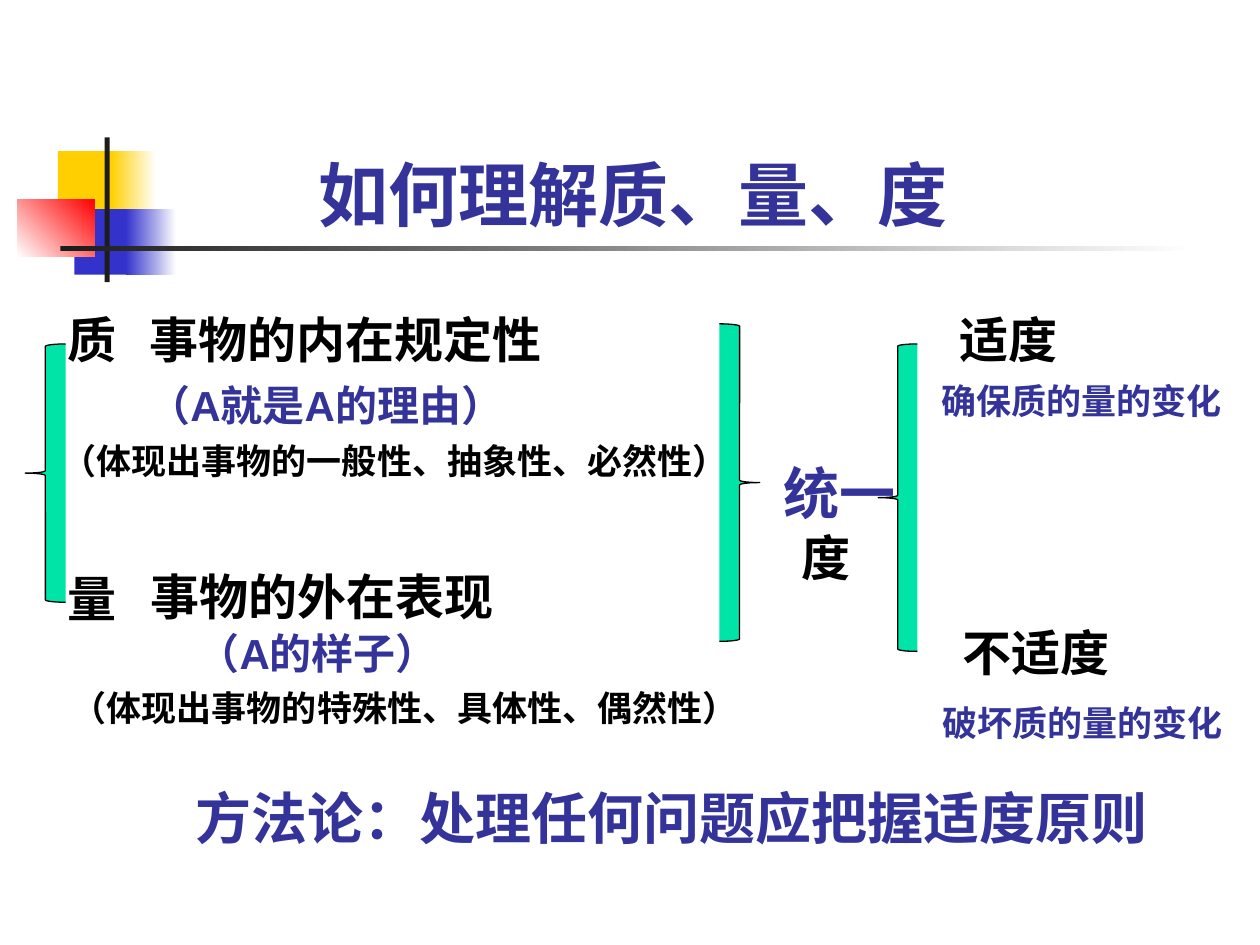
from pptx import Presentation
from pptx.dml.color import RGBColor
from pptx.enum.shapes import MSO_SHAPE
from pptx.enum.text import MSO_AUTO_SIZE
from pptx.oxml.ns import qn
from pptx.util import Inches, Pt
from lxml import etree

RECTANGLE = MSO_SHAPE.RECTANGLE
LEFT_BRACE = MSO_SHAPE.LEFT_BRACE
RIGHT_BRACE = MSO_SHAPE.RIGHT_BRACE
FIT_SHAPE = MSO_AUTO_SIZE.SHAPE_TO_FIT_TEXT

COLORS = {
    "yellow": "FFCF01",
    "blue": "3333CC",
    "red": "FF0000",
    "white": "FFFFFF",
    "charcoal": "1C1C1C",
    "indigo": "333399",
    "black": "000000",
    "green": "00E4A8",
}
LATIN_FONT = "Arial"
CHINESE_FONT = "Noto Sans CJK SC"


def rgb(color):
    return RGBColor.from_string(COLORS[color])


class SlideBuilder:
    """Holds the style and the slide being filled."""

    def __init__(self, slide):
        self.slide = slide
        self.brace_bend = 0.06

    def add_preset(self, preset, box):
        shape = self.slide.shapes.add_shape(preset, *map(Inches, box))
        shape.shadow.inherit = False
        return shape

    def block(self, box, color):
        shape = self.add_preset(RECTANGLE, box)
        shape.fill.solid()
        shape.fill.fore_color.rgb = rgb(color)
        shape.line.fill.background()

    def faded_block(self, box, start, end, angle=0):
        """Blend two colours; the angle runs counter-clockwise from the right."""
        shape = self.add_preset(RECTANGLE, box)
        shape.fill.gradient()
        shape.fill.gradient_angle = angle
        for stop, color, position in zip(shape.fill.gradient_stops, (start, end), (0, 1)):
            stop.color.rgb = rgb(color)
            stop.position = position
        shape.line.fill.background()

    def brace(self, preset, box):
        shape = self.add_preset(preset, box)
        shape.adjustments[0] = self.brace_bend
        shape.fill.solid()
        shape.fill.fore_color.rgb = rgb("green")
        shape.line.color.rgb = rgb("black")
        shape.line.width = Pt(0.75)

    def text(self, box, words, size, color="black", font_name=LATIN_FONT):
        frame = self.slide.shapes.add_textbox(*map(Inches, box)).text_frame
        frame.word_wrap = False
        frame.auto_size = FIT_SHAPE
        run = frame.paragraphs[0].add_run()
        run.text = words
        for attribute, value in {"name": font_name, "size": Pt(size), "bold": True}.items():
            setattr(run.font, attribute, value)
        run.font.color.rgb = rgb(color)
        east_asian = etree.SubElement(run.font._element, qn("a:ea"))
        east_asian.set("typeface", CHINESE_FONT)


def main():
    deck = Presentation()
    deck.slide_width, deck.slide_height = Inches(10), Inches(7.5)
    builder = SlideBuilder(deck.slides.add_slide(deck.slide_layouts[6]))

    # Corner ornament and title rule
    builder.block((0.46, 1.2, 0.48, 0.52), "yellow")
    builder.faded_block((0.88, 1.2, 0.36, 0.52), "yellow", "white")
    builder.block((0.59, 1.66, 0.46, 0.52), "blue")
    builder.faded_block((1, 1.66, 0.4, 0.52), "blue", "white")
    builder.faded_block((0.14, 1.58, 0.61, 0.46), "white", "red", 45)
    builder.block((0.83, 1.09, 0.04, 1.15), "charcoal")
    builder.faded_block((0.48, 1.95, 9, 0.04), "charcoal", "white")

    builder.text((2.43, 1.15, 5.32, 0.77), "如何理解质、量、度", 40, "indigo")

    # Quality
    builder.text((0.44, 2.41, 0.6, 0.57), "质", 28)
    builder.text((1.09, 2.41, 3.36, 0.57), "事物的内在规定性", 28)
    builder.text((1.08, 2.96, 3.4, 0.5), "（A就是A的理由）", 24, "indigo")
    builder.text((0.39, 3.44, 5.49, 0.44), "（体现出事物的一般性、抽象性、必然性）", 20)

    # Quantity
    builder.text((0.44, 4.46, 0.6, 0.57), "量", 28)
    builder.text((1.1, 4.45, 3, 0.57), "事物的外在表现", 28)
    builder.text((1.47, 4.93, 2.35, 0.5), "（A的样子）", 24, "indigo")
    builder.text((0.47, 5.4, 5.49, 0.44), "（体现出事物的特殊性、具体性、偶然性）", 20)

    # Measure, which unites both
    builder.text((6.12, 3.59, 1.19, 0.64), "统一", 32, "indigo")
    builder.text((6.26, 4.14, 0.6, 0.57), "度", 28)
    builder.text((7.52, 2.41, 1.02, 0.57), "适度", 28)
    builder.text((7.37, 2.96, 2.49, 0.44), "确保质的量的变化", 20, "indigo")
    builder.text((7.54, 4.89, 1.45, 0.57), "不适度", 28)
    builder.text((7.38, 5.52, 2.47, 0.44), "破坏质的量的变化", 20, "indigo")

    builder.brace(LEFT_BRACE, (0.2, 2.73, 0.32, 2.05))
    builder.brace(RIGHT_BRACE, (5.71, 2.57, 0.32, 2.52))
    builder.brace(LEFT_BRACE, (6.97, 2.73, 0.31, 2.44))

    builder.text((1.45, 6.17, 7.82, 0.64), "方法论：处理任何问题应把握适度原则",
                 32, "indigo", CHINESE_FONT)

    deck.save("out.pptx")


if __name__ == "__main__":
    main()
